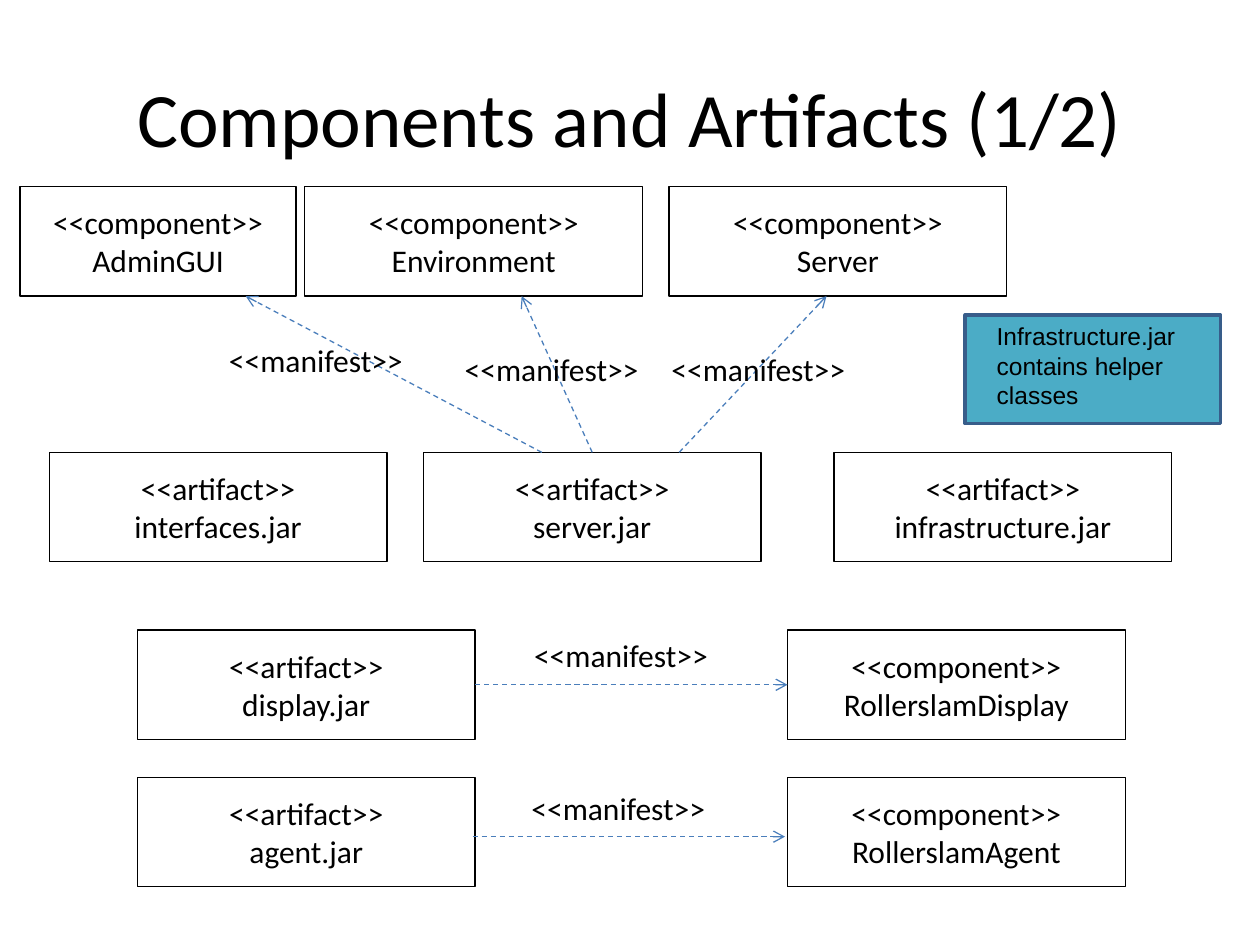
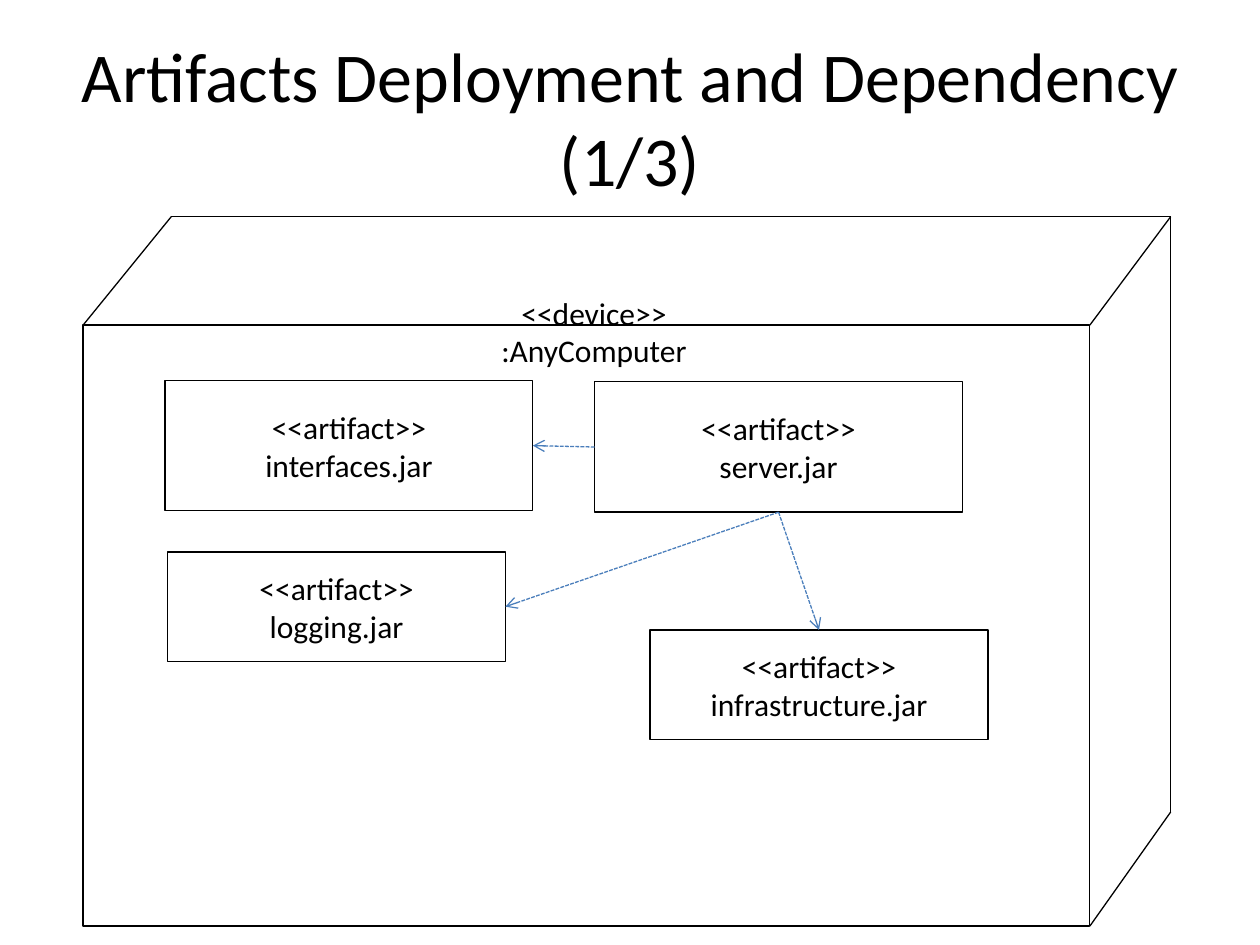
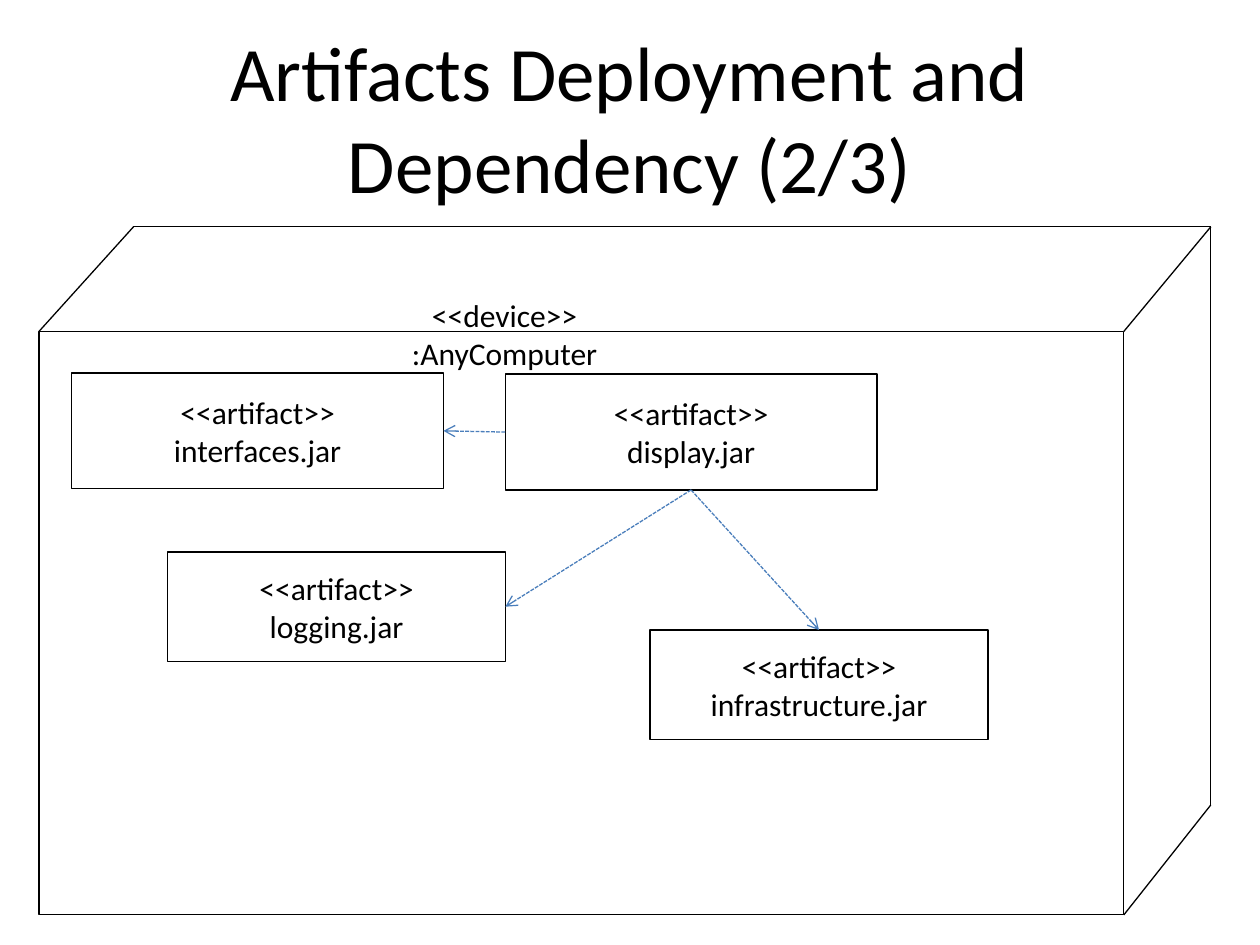
"""Build three slides of component, artifact and deployment diagrams."""
from lxml.etree import SubElement
from pptx import Presentation
from pptx.dml.color import RGBColor
from pptx.enum.dml import MSO_LINE as Dash
from pptx.enum.shapes import MSO_CONNECTOR as Link, MSO_SHAPE as Form
from pptx.enum.text import MSO_ANCHOR as Anchor, MSO_AUTO_SIZE as Fit, PP_ALIGN as Align
from pptx.oxml.ns import qn
from pptx.util import Pt

BLACK, WHITE = "000000", "FFFFFF"
BLUE, TEAL, NAVY = "4A7EBB", "4BACC6", "385D8A"
FONT = "Calibri"
WIDE, HIGH = 193, 62.6
TOP, LEFT, BASE, RIGHT = range(4)


def color(code):
    return RGBColor.from_string(code)


def points(*sizes):
    return [Pt(size) for size in sizes]


def write(frame, text, size=18, font=FONT, align=Align.CENTER):
    frame.text = text
    for para in frame.paragraphs:
        para.alignment = align
        para.font.size = Pt(size)
        para.font.name = font
        para.font.color.rgb = color(BLACK)


def add_page(deck, title, size=44):
    page = deck.slides.add_slide(deck.slide_layouts[5])
    head = page.shapes.title
    head.left, head.top, head.width, head.height = points(36, 21.6, 648, 90)
    frame = head.text_frame
    frame.auto_size = Fit.NONE
    frame.vertical_anchor = Anchor.MIDDLE
    write(frame, title, size)
    return page.shapes


def add_rect(shapes, x, y, wide, high, fill=WHITE, edge=BLACK, weight=0.75):
    rect = shapes.add_shape(Form.RECTANGLE, *points(x, y, wide, high))
    rect.shadow.inherit = False
    rect.fill.solid()
    rect.fill.fore_color.rgb = color(fill)
    rect.line.color.rgb = color(edge)
    rect.line.width = Pt(weight)
    return rect


def add_box(shapes, kind, name, x, y, wide=WIDE, high=HIGH):
    box = add_rect(shapes, x, y, wide, high)
    box.text_frame.word_wrap = False
    box.text_frame.vertical_anchor = Anchor.MIDDLE
    write(box.text_frame, f"<<{kind}>>\n{name}")
    return box


def add_note(shapes, text, x, y, wide, high):
    frame = add_rect(shapes, x, y, wide, high, TEAL, NAVY, 2).text_frame
    frame.word_wrap = True
    frame.vertical_anchor = Anchor.TOP
    frame.margin_left = Pt(18)
    write(frame, text, 14, "Arial", Align.LEFT)


def add_label(shapes, text, x, y, wide=124, high=28.8, align=Align.LEFT):
    frame = shapes.add_textbox(*points(x, y, wide, high)).text_frame
    frame.word_wrap = True
    write(frame, text, align=align)


def add_line(shapes, start, end, tint=BLACK):
    line = shapes.add_connector(Link.STRAIGHT, *points(*start, *end))
    line.line.color.rgb = color(tint)
    line.line.width = Pt(0.75)
    SubElement(line.element.spPr, qn("a:effectLst"))
    return line


def add_arrow(shapes, start, end, dash):
    arrow = add_line(shapes, start, end, BLUE)
    arrow.line.dash_style = dash
    SubElement(arrow.element.spPr.find(qn("a:ln")), qn("a:tailEnd"), type="arrow")
    return arrow


def join(shapes, source, side, target, port):
    arrow = add_arrow(shapes, (0, 0), (0, 0), Dash.SQUARE_DOT)
    arrow.begin_connect(source, side)
    arrow.end_connect(target, port)


def add_cube(shapes, front, back):
    x, y, wide, high = front
    left, top, right, low = back
    add_rect(shapes, *front)
    edge, base = x + wide, y + high
    for start, end in (
        ((x, y), (left, top)),
        ((left, top), (right, top)),
        ((edge, y), (right, top)),
        ((right, top), (right, low)),
        ((edge, base), (right, low)),
    ):
        add_line(shapes, start, end)


def draw_parts(deck):
    shapes = add_page(deck, "Components and Artifacts (1/2)")
    add_note(shapes, "Infrastructure.jar contains helper classes", 551.5, 180, 146, 62)

    top, middle = 106.6, 258.5
    add_box(shapes, "component", "AdminGUI", 11.5, top, 157.7)
    for name, x in (("Environment", 174.2), ("Server", 382.3)):
        add_box(shapes, "component", name, x, top)
    for name, x in (("interfaces", 28.1), ("server", 241.9), ("infrastructure", 476.6)):
        add_box(shapes, "artifact", f"{name}.jar", x, middle)
    for name, part, y in (("display", "RollerslamDisplay", 360), ("agent", "RollerslamAgent", 444.2)):
        add_box(shapes, "artifact", f"{name}.jar", 78.5, y)
        add_box(shapes, "component", part, 450, y)

    tip = top + HIGH
    for start, end, label in (
        ((309.6, middle), (140.4, tip), (123.8, 191.5)),
        ((338.4, middle), (298.1, tip), (258.5, 196.6)),
        ((388.1, middle), (472.3, tip), (376.6, 196.6)),
        ((271.5, 391.3), (450, 391.3), (298.1, 360)),
        ((270, 478.1), (448.6, 478.1), (296.6, 447.1)),
    ):
        add_arrow(shapes, start, end, Dash.DASH)
        add_label(shapes, "<<manifest>>", *label)


def draw_device(deck, title, size, cube, label, main, faces, wide, high):
    shapes = add_page(deck, title, size)
    add_cube(shapes, *cube)
    add_label(shapes, "<<device>>\n:AnyComputer", *label, 147.5, 50.4, Align.CENTER)
    name, *spot = main
    source = add_box(shapes, "artifact", name, *spot, wide, high)
    faces = add_box(shapes, "artifact", "interfaces.jar", *faces, wide, high)
    logs = add_box(shapes, "artifact", "logging.jar", 95.8, 315.4)
    infra = add_box(shapes, "artifact", "infrastructure.jar", 371.5, 360)
    join(shapes, source, LEFT, faces, RIGHT)
    join(shapes, source, BASE, logs, RIGHT)
    join(shapes, source, BASE, infra, TOP)


def main():
    deck = Presentation()
    deck.slide_width, deck.slide_height = points(720, 540)
    draw_parts(deck)
    draw_device(
        deck, "Artifacts Deployment and Dependency (1/3)", 40,
        cube=((47.5, 185.8, 575.3, 343.4), (97.9, 123.8, 669, 464)),
        label=(265.7, 164.2), main=("server.jar", 339.8, 218.2),
        faces=(94.3, 217.4), wide=210.2, high=74.5,
    )
    draw_device(
        deck, "Artifacts Deployment and Dependency (2/3)", 44,
        cube=((22.3, 189.4, 619.9, 333.4), (76.3, 129.6, 691.9, 460)),
        label=(214.6, 165.6), main=("display.jar", 288.7, 213.8),
        faces=(41, 213.1), wide=212.4, high=66.2,
    )
    deck.save("out.pptx")


if __name__ == "__main__":
    main()
